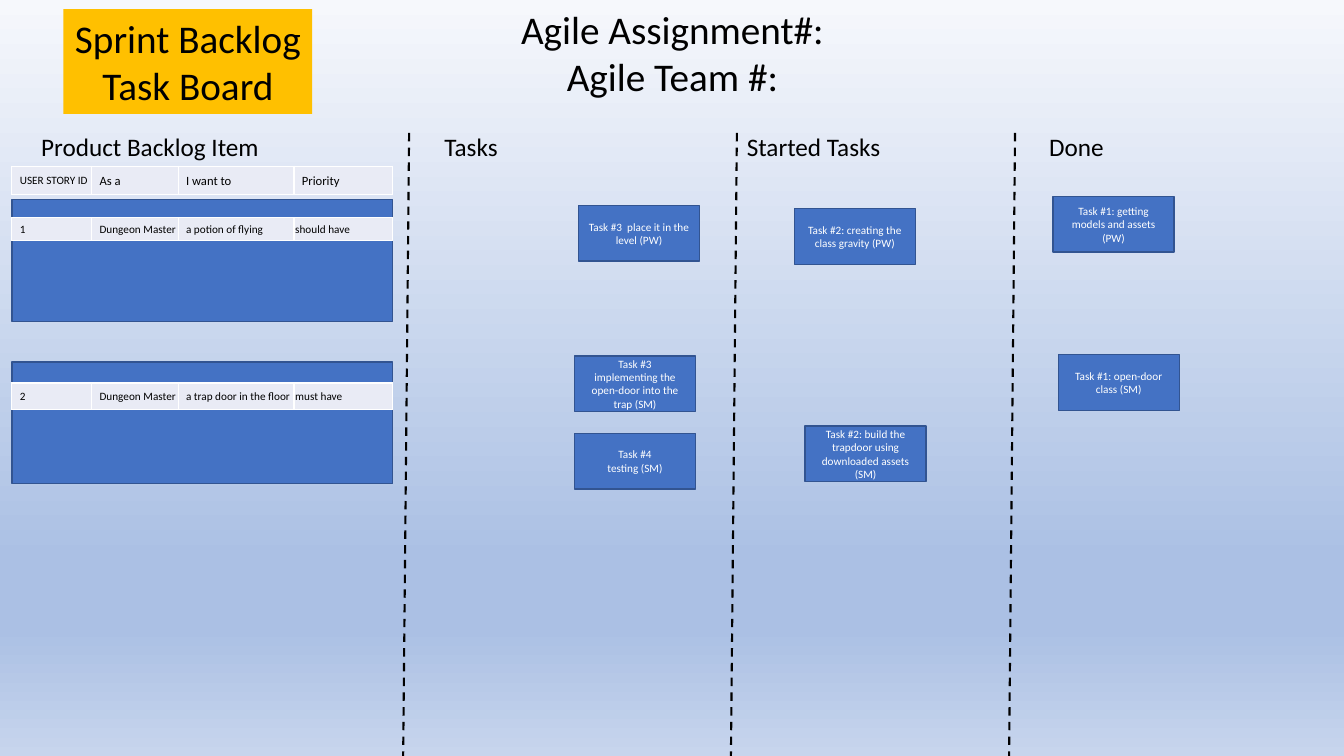
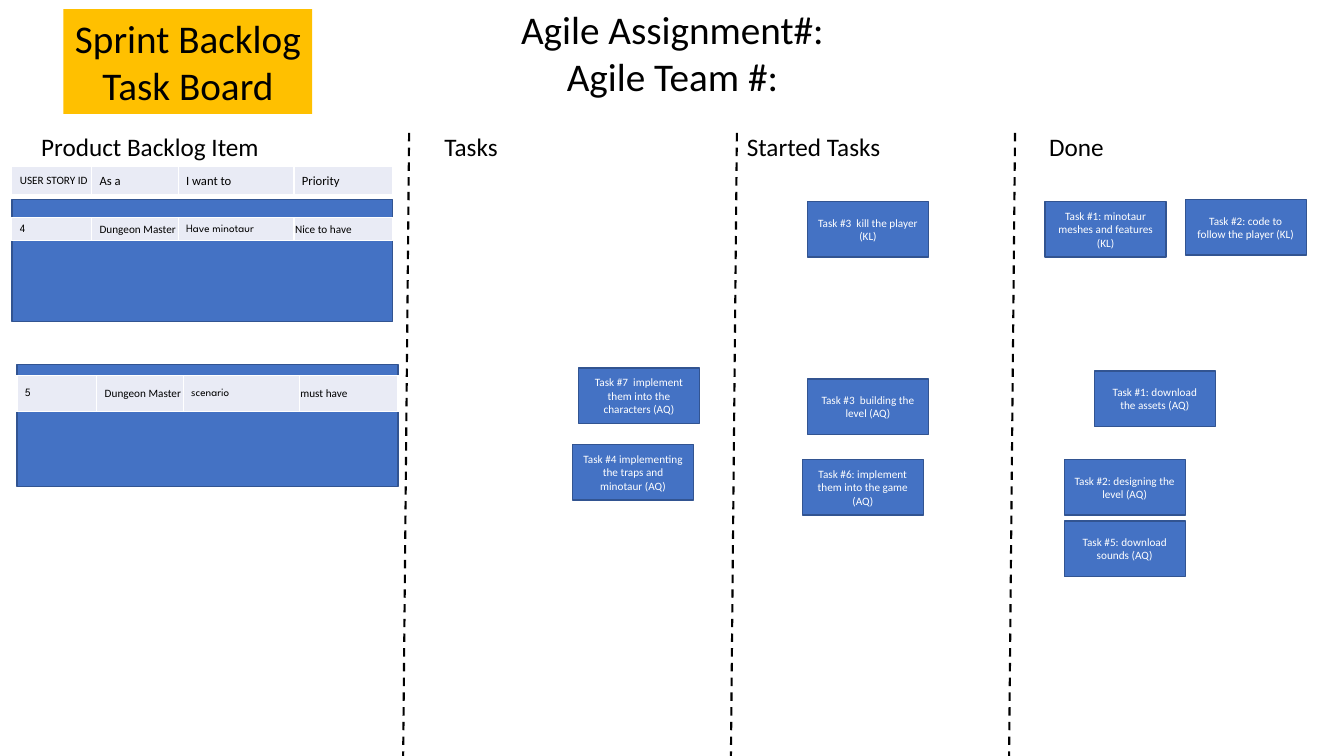
from dataclasses import dataclass
from typing import Any

from lxml import etree
from pptx import Presentation
from pptx.dml.color import RGBColor
from pptx.enum.dml import MSO_LINE
from pptx.enum.shapes import MSO_CONNECTOR, MSO_SHAPE
from pptx.enum.text import MSO_ANCHOR, MSO_AUTO_SIZE, PP_ALIGN
from pptx.oxml.ns import qn
from pptx.slide import Slide
from pptx.util import Cm, Pt

RECT = MSO_SHAPE.RECTANGLE
LINE = MSO_CONNECTOR.STRAIGHT
DASH = MSO_LINE.DASH
TOP, MID = MSO_ANCHOR.TOP, MSO_ANCHOR.MIDDLE
LEFT, CENTER = PP_ALIGN.LEFT, PP_ALIGN.CENTER
FIXED = MSO_AUTO_SIZE.NONE


@dataclass(frozen=True)
class Theme:
    blue: str = "4472C4"
    edge: str = "325491"
    gold: str = "FFC000"
    pale: str = "E9EBF5"
    ink: str = "000000"
    white: str = "FFFFFF"
    sky: tuple = ((0, "F6F8FC"), (74, "ABC0E4"), (83, "ABC0E4"), (100, "C7D5ED"))
    face: str = "Calibri"
    alt: str = "League Spartan"
    title: float = 28
    head: float = 18
    label: float = 9
    small: float = 8


@dataclass(frozen=True)
class Box:
    x: float
    y: float
    w: float
    h: float

    def place(self) -> tuple:
        return tuple(Cm(v) for v in (self.x, self.y, self.w, self.h))


@dataclass(frozen=True)
class Style:
    size: float
    color: str
    face: str = Theme.face
    align: Any = CENTER
    anchor: Any = TOP
    wrap: bool = False


@dataclass(frozen=True)
class Card:
    x: float
    y: float
    text: str


@dataclass(frozen=True)
class Story:
    x: float
    y: float
    row: float
    high: float
    cells: tuple
    face: str = Theme.face


@dataclass(frozen=True)
class Board:
    sky: bool
    tales: tuple
    cards: tuple


T = Theme()
WIDE, HIGH = 33.87, 19.05
TITLE = Box(12.83, 0, 8.23, 2.64)
BADGE = Box(1.6, 0.23, 6.27, 2.64)
HEADS = Box(0.79, 3.18, 27.56, 1.02)
TABS = (10.16, 17.78, 25.4)
COLS = (2.01, 2.18, 2.92, 2.49)
STORY_H = 3.07
CARD_W, CARD_H = 3.05, 1.4
RULES = (10.31, 18.57, 25.58)
RULE_Y, LEAN = 3.35, 0.15
PAD, THIN = 0.2, 0.03
LABELS = ("USER STORY ID", "As a", "I want to", "Priority")
BIG = Style(T.title, T.ink)
NOTE = Style(T.small, T.white, anchor=MID, wrap=True)

BOARDS = (
    Board(
        True,
        (
            Story(0.3, 5.03, 5.49, 0.58,
                  ("1", "Dungeon Master", "a potion of flying", "should have")),
            Story(0.3, 9.12, 9.65, 0.66,
                  ("2", "Dungeon Master", "a trap door in the floor", "must have")),
        ),
        (
            Card(14.58, 5.18, "Task #3  place it in the level (PW)"),
            Card(20.02, 5.26, "Task #2: creating the class gravity (PW)"),
            Card(26.54, 4.95, "Task #1: getting models and assets (PW)"),
            Card(14.48, 8.97, "Task #3\nimplementing the open-door into the trap (SM)"),
            Card(14.48, 10.92, "Task #4\ntesting (SM)"),
            Card(20.29, 10.74, "Task #2: build the trapdoor using downloaded assets (SM)"),
            Card(26.67, 8.94, "Task #1: open-door class (SM)"),
        ),
    ),
    Board(
        False,
        (
            Story(0.3, 5.03, 5.49, 0.58,
                  ("4", "Dungeon Master", "Have minotaur", "Nice to have"), T.alt),
            Story(0.43, 9.19, 9.47, 0.89,
                  ("5", "Dungeon Master", "scenario", "must have"), T.alt),
        ),
        (
            Card(20.35, 5.08, "Task #3  kill the player (KL)"),
            Card(26.34, 5.08, "Task #1: minotaur meshes and features (KL)"),
            Card(29.87, 5.03, "Task #2: code to follow the player (KL)"),
            Card(14.58, 9.27, "Task #7  implement them into the characters (AQ)"),
            Card(14.43, 11.2, "Task #4 implementing the traps and minotaur (AQ)"),
            Card(20.35, 9.55, "Task #3  building the level (AQ)"),
            Card(20.22, 11.58, "Task #6: implement them into the game (AQ)"),
            Card(27.58, 9.35, "Task #1: download the assets (AQ)"),
            Card(26.82, 11.58, "Task #2: designing the level (AQ)"),
            Card(26.82, 13.13, "Task #5: download sounds (AQ)"),
        ),
    ),
)


def put(item: Any, vals: dict) -> None:
    for key, val in vals.items():
        setattr(item, key, val)


def paint(fill: Any, color: str) -> None:
    fill.solid()
    fill.fore_color.rgb = RGBColor.from_string(color)


def write(frame: Any, text: str, style: Style) -> None:
    frame.text = text
    for para in frame.paragraphs:
        para.alignment = style.align
        for run in para.runs:
            put(run.font, {"name": style.face, "size": Pt(style.size)})
            run.font.color.rgb = RGBColor.from_string(style.color)


def label(shape: Any, text: str, style: Style) -> None:
    frame = shape.text_frame
    write(frame, text, style)
    put(frame, {"auto_size": FIXED, "word_wrap": style.wrap,
                "vertical_anchor": style.anchor})


def block(slide: Slide, box: Box, fill: str, edge: str = "") -> Any:
    shape = slide.shapes.add_shape(RECT, *box.place())
    shape.shadow.inherit = False
    paint(shape.fill, fill)
    if edge:
        paint(shape.line.fill, edge)
        shape.line.width = Pt(1)
    else:
        shape.line.fill.background()
    return shape


def border(cell: Any) -> None:
    props = cell._tc.get_or_add_tcPr()
    for spot, side in enumerate(("a:lnL", "a:lnR", "a:lnT", "a:lnB")):
        line = etree.Element(qn(side), w=str(Pt(1)))
        fill = etree.SubElement(line, qn("a:solidFill"))
        etree.SubElement(fill, qn("a:srgbClr"), val=T.white)
        props.insert(spot, line)


def grid(slide: Slide, box: Box, texts: tuple, styles: list, pads: tuple) -> None:
    table = slide.shapes.add_table(1, len(COLS), *box.place()).table
    put(table, {"first_row": False, "horz_banding": False})
    table.rows[0].height = Cm(box.h)
    for i, (width, text, style, pad) in enumerate(zip(COLS, texts, styles, pads)):
        table.columns[i].width = Cm(width)
        cell = table.cell(0, i)
        put(cell, {"margin_left": Cm(pad), "margin_top": Cm(THIN),
                   "margin_right": Cm(THIN), "margin_bottom": 0,
                   "vertical_anchor": MID})
        write(cell.text_frame, text, style)
        paint(cell.fill, T.pale)
        border(cell)


def tale(slide: Slide, story: Story) -> None:
    block(slide, Box(story.x, story.y, sum(COLS), STORY_H), T.blue, T.edge)
    styles = [Style(T.small, T.ink, face, LEFT) for face in (story.face, T.face) * 2]
    grid(slide, Box(story.x, story.row, sum(COLS), story.high),
         story.cells, styles, (PAD, PAD, PAD, THIN))


def heads(slide: Slide) -> None:
    shape = slide.shapes.add_textbox(*HEADS.place())
    label(shape, "Product Backlog Item\tTasks\tStarted Tasks\tDone",
          Style(T.head, T.ink, align=LEFT))
    props = shape.text_frame.paragraphs[0]._p.get_or_add_pPr()
    stops = etree.SubElement(props, qn("a:tabLst"))
    for x in TABS:
        etree.SubElement(stops, qn("a:tab"), pos=str(Cm(x)), algn="l")


def rule(slide: Slide, x: float) -> None:
    link = slide.shapes.add_connector(LINE, Cm(x), Cm(RULE_Y), Cm(x - LEAN), Cm(HIGH))
    paint(link.line.fill, T.ink)
    put(link.line, {"width": Pt(1.5), "dash_style": DASH})
    etree.SubElement(link._element.spPr, qn("a:effectLst"))


def shade(slide: Slide) -> None:
    fill = slide.background.fill
    fill.gradient()
    fill.gradient_angle = 270
    stops = next(slide._element.iter(qn("a:gsLst")))
    for stop in list(stops):
        stops.remove(stop)
    for spot, color in T.sky:
        stop = etree.SubElement(stops, qn("a:gs"), pos=str(spot * 1000))
        etree.SubElement(stop, qn("a:srgbClr"), val=color)


def draw(deck: Any, board: Board) -> None:
    slide = deck.slides.add_slide(deck.slide_layouts[5])
    if board.sky:
        shade(slide)
    title = slide.shapes.title
    put(title, dict(zip(("left", "top", "width", "height"), TITLE.place())))
    label(title, "Agile Assignment#:\nAgile Team #:", BIG)
    label(block(slide, BADGE, T.gold), "Sprint Backlog\nTask Board", BIG)
    heads(slide)
    sizes = (T.small, T.label, T.label, T.label)
    grid(slide, Box(0.3, 4.19, sum(COLS), 0.71), LABELS,
         [Style(size, T.ink, align=LEFT) for size in sizes], (PAD,) * 4)
    for story in board.tales:
        tale(slide, story)
    for x in RULES:
        rule(slide, x)
    for card in board.cards:
        shape = block(slide, Box(card.x, card.y, CARD_W, CARD_H), T.blue, T.edge)
        label(shape, card.text, NOTE)


def main() -> None:
    deck = Presentation()
    put(deck, {"slide_width": Cm(WIDE), "slide_height": Cm(HIGH)})
    for board in BOARDS:
        draw(deck, board)
    deck.save("out.pptx")


main()
